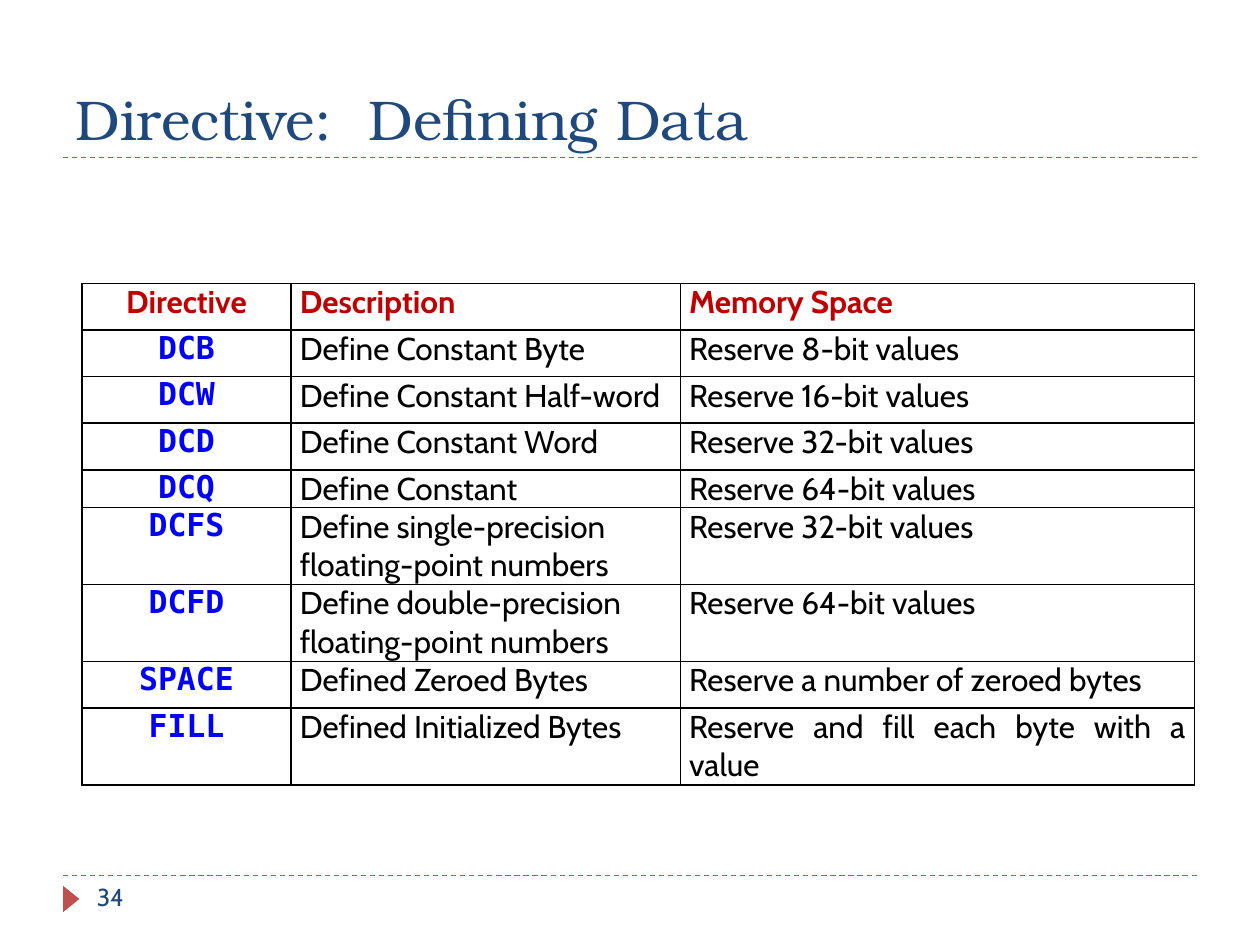
import pptx
import pptx.dml.color
import pptx.enum.dml
import pptx.enum.shapes
import pptx.enum.text
import pptx.oxml.ns
import pptx.util
from dataclasses import dataclass
from lxml import etree

Inches = pptx.util.Inches
Pt = pptx.util.Pt
ALIGN = pptx.enum.text.PP_ALIGN
ANCHOR = pptx.enum.text.MSO_ANCHOR
qn = pptx.oxml.ns.qn


@dataclass(frozen=True)
class Theme:
    title_color: str = "1F497D"
    accent: str = "C0504D"
    header: str = "C00000"
    code: str = "0000FF"
    ink: str = "000000"
    title_font: str = "TeX Gyre Bonum"
    body_font: str = "Cabin"
    code_font: str = "DejaVu Sans Mono"
    title_size: int = 32
    body_size: int = 18
    number_size: int = 14
    rule_width: float = 0.75
    border_width: float = 1


def rgb(color):
    return pptx.dml.color.RGBColor.from_string(color)


class SlideBuilder:
    def __init__(self, slide, theme):
        self.s = slide
        self.theme = theme

    def set_text(self, tf, text, font, size, color, bold=False, align=ALIGN.LEFT):
        tf.word_wrap = True
        tf.text = text
        p = tf.paragraphs[0]
        p.alignment = align
        r = p.runs[0]
        r.font.name = font
        r.font.size = Pt(size)
        r.font.bold = bold
        r.font.color.rgb = rgb(color)

    def text(self, text, x, y, w, h, font, size, anchor=ANCHOR.TOP):
        sp = self.s.shapes.add_textbox(Inches(x), Inches(y), Inches(w), Inches(h))
        sp.text_frame.vertical_anchor = anchor
        self.set_text(sp.text_frame, text, font, size, self.theme.title_color)

    def rule(self, y):
        line = self.s.shapes.add_connector(
            pptx.enum.shapes.MSO_CONNECTOR.STRAIGHT,
            Inches(0.5), Inches(y), Inches(9.5), Inches(y))
        line.line.color.rgb = rgb(self.theme.accent)
        line.line.width = Pt(self.theme.rule_width)
        line.line.dash_style = pptx.enum.dml.MSO_LINE.DASH
        etree.SubElement(line._element.spPr, qn("a:effectLst"))

    def marker(self, x, y, w, h):
        sp = self.s.shapes.add_shape(
            pptx.enum.shapes.MSO_SHAPE.ISOSCELES_TRIANGLE,
            Inches(x), Inches(y), Inches(w), Inches(h))
        sp.rotation = 90
        sp.shadow.inherit = False
        sp.fill.solid()
        sp.fill.fore_color.rgb = rgb(self.theme.accent)
        sp.line.fill.background()

    def border(self, cell):
        tc_pr = cell._tc.get_or_add_tcPr()
        for side in ("lnL", "lnR", "lnT", "lnB"):
            ln = etree.SubElement(tc_pr, qn(f"a:{side}"),
                                  w=str(Pt(self.theme.border_width)))
            fill = etree.SubElement(ln, qn("a:solidFill"))
            etree.SubElement(fill, qn("a:srgbClr"), val=self.theme.ink)

    def cell(self, cell, text, **style):
        cell.margin_left = cell.margin_right = Inches(0.07)
        cell.margin_top = cell.margin_bottom = 0
        self.border(cell)
        cell.fill.background()
        self.set_text(cell.text_frame, text, size=self.theme.body_size, **style)

    def table(self, rows, x, y, widths, heights):
        t = self.theme
        table = self.s.shapes.add_table(
            len(rows), len(widths), Inches(x), Inches(y),
            Inches(sum(widths)), Inches(sum(heights))).table
        for column, width in zip(table.columns, widths):
            column.width = Inches(width)
        for row, height in zip(table.rows, heights):
            row.height = Inches(height)
        for i, row in enumerate(rows):
            for j, text in enumerate(row):
                if i == 0:
                    style = dict(font=t.body_font, color=t.header, bold=True)
                elif j == 0:
                    style = dict(font=t.code_font, color=t.code, bold=True)
                else:
                    style = dict(font=t.body_font, color=t.ink)
                if j == 0:
                    align = ALIGN.CENTER
                elif "precision" in text:
                    align = ALIGN.LEFT
                else:
                    align = ALIGN.JUSTIFY
                self.cell(table.cell(i, j), text, align=align, **style)


DIRECTIVES = [
    ("Directive", "Description", "Memory Space"),
    ("DCB", "Define Constant Byte", "Reserve 8-bit values"),
    ("DCW", "Define Constant Half-word", "Reserve 16-bit values"),
    ("DCD", "Define Constant Word", "Reserve 32-bit values"),
    ("DCQ", "Define Constant", "Reserve 64-bit values"),
    ("DCFS", "Define single-precision floating-point numbers", "Reserve 32-bit values"),
    ("DCFD", "Define double-precision floating-point numbers", "Reserve 64-bit values"),
    ("SPACE", "Defined Zeroed Bytes", "Reserve a number of zeroed bytes"),
    ("FILL", "Defined Initialized Bytes", "Reserve and fill each byte with a value"),
]


def main():
    prs = pptx.Presentation()
    prs.slide_width = Inches(10)
    prs.slide_height = Inches(7.5)
    theme = Theme()
    b = SlideBuilder(prs.slides.add_slide(prs.slide_layouts[6]), theme)
    for y in (6.95, 1.25):
        b.rule(y)
    b.marker(0.46, 7.07, 0.21, 0.13)
    b.text("Directive:  Defining Data", 0.5, 0.17, 9, 1.08,
           theme.title_font, theme.title_size, ANCHOR.BOTTOM)
    b.text("34", 0.67, 6.95, 2.17, 0.4, theme.body_font, theme.number_size)
    single, tight, double = 0.37, 0.3, 0.61
    b.table(DIRECTIVES, 0.65, 2.25, [1.66, 3.09, 4.08],
            [single] * 4 + [tight, double, double, single, double])
    prs.save("out.pptx")


if __name__ == "__main__":
    main()
